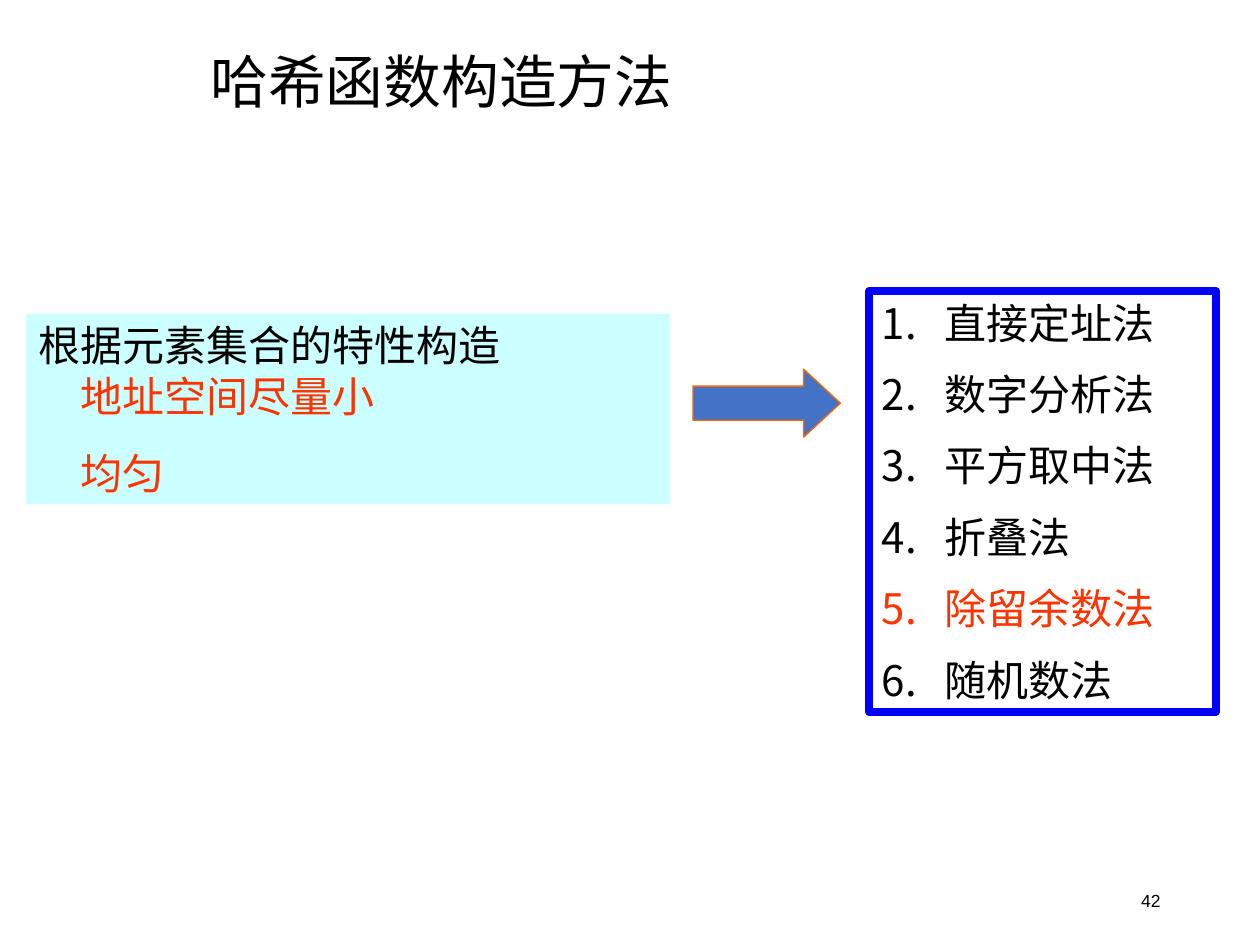
"""Build a slide on the ways to construct a hash function."""
from lxml import etree
from pptx import Presentation
from pptx import util as u
from pptx.dml.color import RGBColor
from pptx.enum import shapes, text
from pptx.oxml.ns import qn

BLACK = RGBColor(0x00, 0x00, 0x00)
ORANGE_RED = RGBColor(0xFF, 0x33, 0x00)
PALE_CYAN = RGBColor(0xCC, 0xFF, 0xFF)
BLUE = RGBColor(0x00, 0x00, 0xFF)
STEEL_BLUE = RGBColor(0x44, 0x72, 0xC4)
ORANGE = RGBColor(0xFF, 0x66, 0x00)
CJK, LATIN = "Noto Sans CJK SC", "Arial"
LEFT, RIGHT = text.PP_ALIGN.LEFT, text.PP_ALIGN.RIGHT
TOP, MIDDLE = text.MSO_ANCHOR.TOP, text.MSO_ANCHOR.MIDDLE


class SlideBuilder:
    """Holds the text style and the current slide."""

    body_size = 24
    frame_format = {
        "word_wrap": True,
        "auto_size": text.MSO_AUTO_SIZE.NONE,
        "margin_left": u.Inches(0.1),
        "margin_right": u.Inches(0.1),
        "margin_top": u.Inches(0.05),
        "margin_bottom": u.Inches(0.05),
    }

    def __init__(self, deck):
        self.slide = deck.slides.add_slide(deck.slide_layouts[5])

    def format_frame(self, frame, anchor):
        for key, value in {**self.frame_format, "vertical_anchor": anchor}.items():
            setattr(frame, key, value)

    def add_words(self, paragraph, words, size, color=BLACK, font=CJK, align=LEFT):
        paragraph.alignment = align
        run = paragraph.add_run()
        run.text = words
        for key, value in {"name": font, "size": u.Pt(size), "bold": False}.items():
            setattr(run.font, key, value)
        run.font.color.rgb = color
        etree.SubElement(run._r.get_or_add_rPr(), qn("a:ea"), typeface=CJK)

    def indent(self, paragraph, left, first=0):
        properties = paragraph._p.get_or_add_pPr()
        properties.set("marL", str(u.Inches(left)))
        properties.set("indent", str(u.Inches(first)))
        return properties

    def number(self, paragraph, color):
        properties = self.indent(paragraph, 0.5, -0.5)
        bullet_color = etree.SubElement(properties, qn("a:buClr"))
        etree.SubElement(bullet_color, qn("a:srgbClr"), val=str(color))
        etree.SubElement(properties, qn("a:buAutoNum"), type="arabicPeriod")

    def title(self, words, left, top, width, height):
        title = self.slide.shapes.title
        box = {"left": left, "top": top, "width": width, "height": height}
        for key, value in box.items():
            setattr(title, key, u.Inches(value))
        self.format_frame(title.text_frame, MIDDLE)
        paragraph = title.text_frame.paragraphs[0]
        paragraph.line_spacing = 0.9
        self.add_words(paragraph, words, 33)

    def label(self, words, size, *box):
        frame = self.slide.shapes.add_textbox(*map(u.Inches, box)).text_frame
        self.format_frame(frame, MIDDLE)
        self.add_words(frame.paragraphs[0], words, size, font=LATIN, align=RIGHT)

    def block(self, kind, box, fill=None, line=None, line_width=0):
        block = self.slide.shapes.add_shape(kind, *map(u.Inches, box))
        block.shadow.inherit = False
        if fill is None:
            block.fill.background()
        else:
            block.fill.solid()
            block.fill.fore_color.rgb = fill
        if line is None:
            block.line.fill.background()
        else:
            block.line.color.rgb = line
            block.line.width = u.Pt(line_width)
        return block

    def panel(self, entries, box, numbered=False, **look):
        frame = self.block(shapes.MSO_SHAPE.RECTANGLE, box, **look).text_frame
        self.format_frame(frame, TOP)
        for index, (words, color, font, left, gap) in enumerate(entries):
            paragraph = frame.add_paragraph() if index else frame.paragraphs[0]
            if index and gap:
                paragraph.space_before = u.Pt(gap)
            if numbered:
                self.number(paragraph, color)
            else:
                self.indent(paragraph, left)
            self.add_words(paragraph, words, self.body_size, color, font)

    def arrow(self, box, adjustments, **look):
        arrow = self.block(shapes.MSO_SHAPE.RIGHT_ARROW, box, **look)
        for index, value in enumerate(adjustments):
            arrow.adjustments[index] = value


def main():
    deck = Presentation()
    deck.slide_width, deck.slide_height = u.Inches(10), u.Inches(7.5)
    builder = SlideBuilder(deck)
    builder.label("42", 10, 7.06, 6.95, 2.25, 0.4)
    builder.title("哈希函数构造方法", 1.57, 0.35, 8.43, 0.65)

    criteria = [
        ("根据元素集合的特性构造", BLACK, LATIN, 0, 0),
        ("地址空间尽量小", ORANGE_RED, CJK, 0.33, 0),
        ("均匀", ORANGE_RED, CJK, 0.33, 15),
    ]
    builder.panel(criteria, (0.21, 2.49, 5.11, 1.51), fill=PALE_CYAN)

    methods = ["直接定址法", "数字分析法", "平方取中法", "折叠法", "除留余数法", "随机数法"]
    key_method = "除留余数法"
    entries = [(method, ORANGE_RED if method == key_method else BLACK, CJK, 0, 12)
               for method in methods]
    builder.panel(entries, (6.9, 2.31, 2.75, 3.34), numbered=True,
                  line=BLUE, line_width=4.5)
    builder.arrow((5.5, 2.93, 1.17, 0.54), (0.5, 0.54),
                  fill=STEEL_BLUE, line=ORANGE, line_width=0.75)
    deck.save("out.pptx")


if __name__ == "__main__":
    main()
